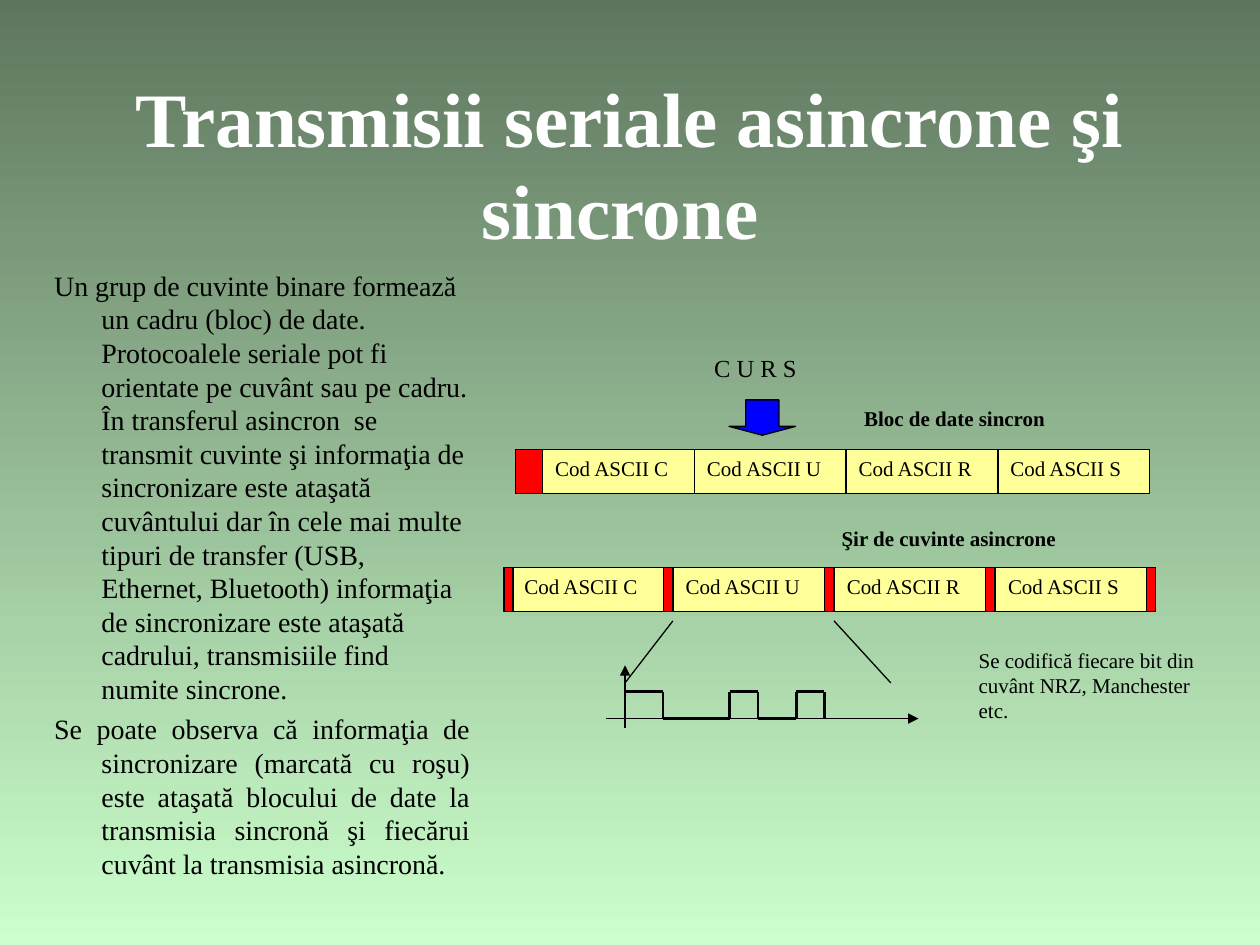
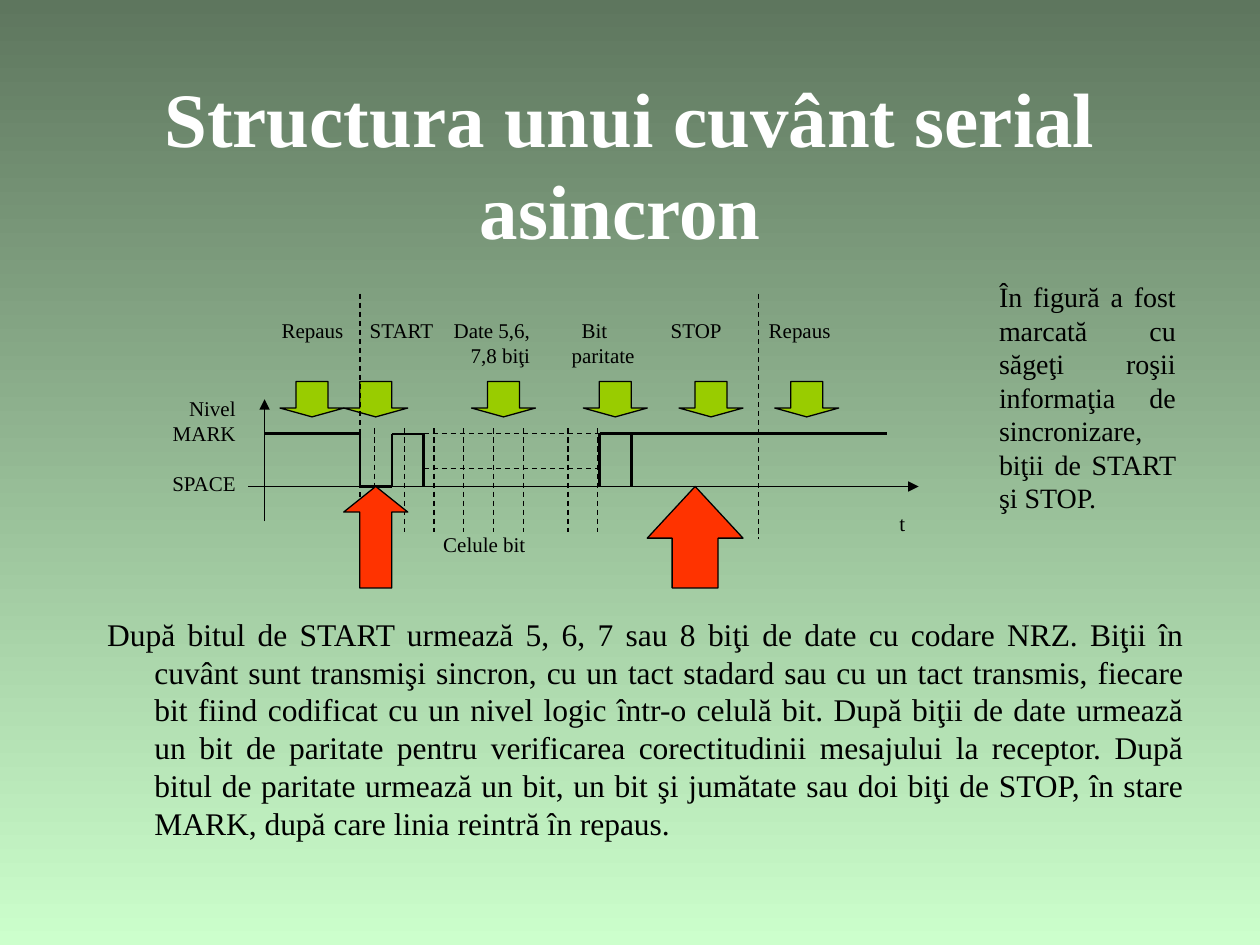
import itertools

import pptx
import pptx.dml.color
import pptx.enum.dml
import pptx.enum.shapes
import pptx.enum.text
import pptx.oxml.ns
import pptx.util
from lxml import etree

Pt = pptx.util.Pt
qn = pptx.oxml.ns.qn
ALIGN = pptx.enum.text.PP_ALIGN
SHAPE = pptx.enum.shapes.MSO_SHAPE
COLOURS = {
    "top": "5E765E", "bottom": "CCFFCC", "title": "FFFFFF", "ink": "000000",
    "word": "FFFF99", "sync": "FF0000", "source": "0000FF",
    "phase": "99CC00", "marker": "FF3300",
}
FONT = "Times New Roman"
TITLE_BOX = (54, 48, 612, 90)


def rgb(name):
    return pptx.dml.color.RGBColor.from_string(COLOURS[name])


class Deck:
    """Holds the presentation, its style and the slide being filled."""

    def __init__(self):
        self.prs = pptx.Presentation()
        self.prs.slide_width, self.prs.slide_height = Pt(720), Pt(540)
        self.slide = None

    def new_slide(self, title):
        self.slide = self.prs.slides.add_slide(self.prs.slide_layouts[1])
        fill = self.slide.background.fill
        fill.gradient()
        fill.gradient_angle = 270
        for stop, name in zip(fill.gradient_stops, ("top", "bottom")):
            stop.color.rgb = rgb(name)
        heading = self.slide.shapes.title
        self.place(heading, TITLE_BOX)
        self.set_lines(heading.text_frame, [title], 44, ALIGN.CENTER, True, "title",
                       pptx.enum.text.MSO_ANCHOR.MIDDLE)

    def place(self, shape, box):
        shape.left, shape.top, shape.width, shape.height = map(Pt, box)

    def set_lines(self, frame, lines, size, align=ALIGN.LEFT, bold=False, colour="ink",
                  anchor=pptx.enum.text.MSO_ANCHOR.TOP):
        frame.text = "\n".join(lines)
        frame.word_wrap = True
        frame.auto_size = pptx.enum.text.MSO_AUTO_SIZE.NONE
        frame.vertical_anchor = anchor
        for paragraph in frame.paragraphs:
            paragraph.alignment = align
            for run in paragraph.runs:
                run.font.name, run.font.size, run.font.bold = FONT, Pt(size), bold
                run.font.color.rgb = rgb(colour)

    def body(self, box, lines, size, space_before):
        """Fill the body placeholder with unbulleted hanging paragraphs."""
        holder = self.slide.placeholders[1]
        self.place(holder, box)
        self.set_lines(holder.text_frame, lines, size, ALIGN.JUSTIFY)
        for paragraph in holder.text_frame.paragraphs:
            paragraph.space_before = Pt(space_before)
            properties = paragraph._p.get_or_add_pPr()
            properties.set("marL", str(Pt(27)))
            properties.set("indent", str(-Pt(27)))
            etree.SubElement(properties, qn("a:buNone"))
        return holder.text_frame.paragraphs

    def label(self, box, lines, size=12, **style):
        textbox = self.slide.shapes.add_textbox(*map(Pt, box))
        self.set_lines(textbox.text_frame, lines, size, **style)
        return textbox.text_frame.paragraphs

    def tab_stops(self, paragraph, positions):
        tabs = etree.SubElement(paragraph._p.get_or_add_pPr(), qn("a:tabLst"))
        for position in positions:
            etree.SubElement(tabs, qn("a:tab"), pos=str(Pt(position)), algn="l")

    def shape(self, kind, box, colour, text="", adjustments=()):
        shape = self.slide.shapes.add_shape(kind, *map(Pt, box))
        shape.shadow.inherit = False
        shape.fill.solid()
        shape.fill.fore_color.rgb = rgb(colour)
        shape.line.color.rgb = rgb("ink")
        shape.line.width = Pt(0.75)
        for index, value in enumerate(adjustments):
            shape.adjustments[index] = value
        if text:
            self.set_lines(shape.text_frame, [text], 12)

    def line(self, start, end, width=0.75, dashed=False, arrow=False):
        line = self.slide.shapes.add_connector(
            pptx.enum.shapes.MSO_CONNECTOR.STRAIGHT, *map(Pt, start + end))
        line.line.color.rgb = rgb("ink")
        line.line.width = Pt(width)
        if dashed:
            line.line.dash_style = pptx.enum.dml.MSO_LINE.DASH
        properties = line.element.spPr
        if arrow:
            etree.SubElement(properties.find(qn("a:ln")), qn("a:tailEnd"), type="triangle")
        etree.SubElement(properties, qn("a:effectLst"))

    def signal(self, points):
        for start, end in itertools.pairwise(points):
            self.line(start, end, 1.5)


def transmissions_slide(deck):
    deck.new_slide("Transmisii seriale asincrone şi sincrone ")
    intro, _ = deck.body((23.76, 149.76, 252, 360), [
        "Un grup de cuvinte binare formează un cadru (bloc) de date. Protocoalele seriale "
        "pot fi orientate pe cuvânt sau pe cadru. În transferul asincron  se transmit cuvinte "
        "şi informaţia de sincronizare este ataşată cuvântului dar în cele mai multe tipuri de "
        "transfer (USB, Ethernet, Bluetooth) informaţia de sincronizare este ataşată cadrului, "
        "transmisiile find numite sincrone.",
        "Se poate observa că informaţia de sincronizare (marcată cu roşu) este ataşată blocului "
        "de date la transmisia sincronă şi fiecărui cuvânt la transmisia asincronă."], 16, 4)
    intro.alignment = ALIGN.LEFT

    deck.label((401, 198, 75, 25), ["C U R S"], 14)
    deck.shape(SHAPE.DOWN_ARROW, (416.6, 228.5, 38, 20.2), "source",
               adjustments=(0.5, 0.25))
    deck.label((486.7, 228.2, 133.2, 21.6), ["Bloc de date sincron"], bold=True)
    deck.label((473.8, 296.6, 159.8, 22.3), ["Şir de cuvinte asincrone"], bold=True)

    block_top, word_top, height, word_width = 256.8, 324.2, 25.2, 86.6
    for index, letter in enumerate("CURS"):
        for left, top in ((310.2 + 86.7 * index, block_top), (292.6 + 92.1 * index, word_top)):
            deck.shape(SHAPE.RECTANGLE, (left, top, word_width, height), "word",
                       f"Cod ASCII {letter}")
    deck.shape(SHAPE.RECTANGLE, (294.6, block_top, 15.6, height), "sync")
    for left in [288] + [379 + 92.1 * index for index in range(4)]:
        deck.shape(SHAPE.RECTANGLE, (left, word_top, 5.2, height), "sync")

    deck.line((384.5, 354.8), (357.2, 390.2))
    deck.line((476.6, 354.8), (509, 390.2))
    deck.line((357.2, 416.2), (357.2, 380.2), arrow=True)
    deck.line((346.3, 410.6), (524.9, 410.6), arrow=True)
    high, low = 395.3, 410.6
    level, points = high, [(357.2, high)]
    for edge in (378.9, 416.9, 433.2, 455, 471):
        points.append((edge, level))
        level = low if level == high else high
        points.append((edge, level))
    deck.signal(points)
    deck.label((552.2, 366.5, 152, 59.8),
               ["Se codifică fiecare bit din cuvânt NRZ, Manchester etc."])


def word_structure_slide(deck):
    deck.new_slide("Structura unui cuvânt serial asincron ")
    deck.body((54, 347.76, 630, 138.24), [
        "După bitul de START urmează 5, 6, 7 sau 8 biţi de date cu codare NRZ. Biţii în cuvânt "
        "sunt transmişi sincron, cu un tact stadard sau cu un tact transmis, fiecare bit fiind "
        "codificat cu un nivel logic într-o celulă bit. După biţii de date urmează un bit de "
        "paritate pentru verificarea corectitudinii mesajului la receptor. După bitul de paritate "
        "urmează un bit, un bit şi jumătate sau doi biţi de STOP, în stare MARK, după care linia "
        "reintră în repaus."], 18, 4.5)

    mark, space = 247.9, 278
    deck.line((141.8, space), (524.9, space), arrow=True)
    deck.line((151.2, 298), (151.2, 228.2), arrow=True)
    levels = deck.label((77.8, 222.4, 64, 76), ["Nivel", "MARK", "SPACE"], align=ALIGN.RIGHT)
    levels[2].space_before = Pt(14.4)
    phases = deck.label((141.8, 177.8, 383, 40.3), [
        "\tRepaus\tSTART\tDate 5,6,\tBit\tSTOP\tRepaus", "\t7,8 biţi\tparitate"])
    deck.tab_stops(phases[0], (12.1, 62.4, 110.4, 183.5, 234.4, 290.4))
    deck.tab_stops(phases[1], (120.1, 177.8))
    deck.label((506.9, 288, 27.4, 30.2), ["t"])
    deck.label((246.2, 300.2, 85, 25.2), ["Celule bit"])

    for left in (160, 196.4, 269.4, 333.3, 388, 442.7):
        deck.shape(SHAPE.DOWN_ARROW, (left, 218, 36.6, 20.2), "phase",
                   adjustments=(0.5, 0.25))

    start, first_bit, second_bit, parity, stop = 205.7, 224, 242.1, 342.6, 360.8
    deck.signal([(151.2, mark), (start, mark), (start, space), (first_bit, space),
                 (first_bit, mark)])
    deck.line((first_bit, mark), (second_bit, mark), 1)
    deck.signal([(second_bit, mark), (second_bit, space)])
    deck.signal([(parity, space), (parity, mark), (506.9, mark)])
    deck.signal([(stop, mark), (stop, space)])
    for level in (mark, 267.8):
        deck.line((second_bit, level), (parity, level), dashed=True)
    for word_limit in (start, 433.6):
        deck.line((word_limit, 167.8), (word_limit, 308.2), dashed=True)
    for cell in [214 + 17 * index for index in range(6)] + [324.6, 341.6]:
        deck.line((cell, 244.8), (cell, 303.8), dashed=True)

    deck.shape(SHAPE.UP_ARROW, (196.4, space, 36.6, 58), "marker", adjustments=(0.5, 0.4))
    deck.shape(SHAPE.UP_ARROW, (369.9, space, 54.7, 58), "marker", adjustments=(0.48, 0.54))
    deck.label((563.8, 156.2, 115.2, 141.8), [
        "În figură a fost marcată cu săgeţi roşii informaţia de sincronizare, "
        "biţii de START şi STOP."], 16, align=ALIGN.JUSTIFY)


def main():
    deck = Deck()
    transmissions_slide(deck)
    word_structure_slide(deck)
    deck.prs.save("out.pptx")


if __name__ == "__main__":
    main()
